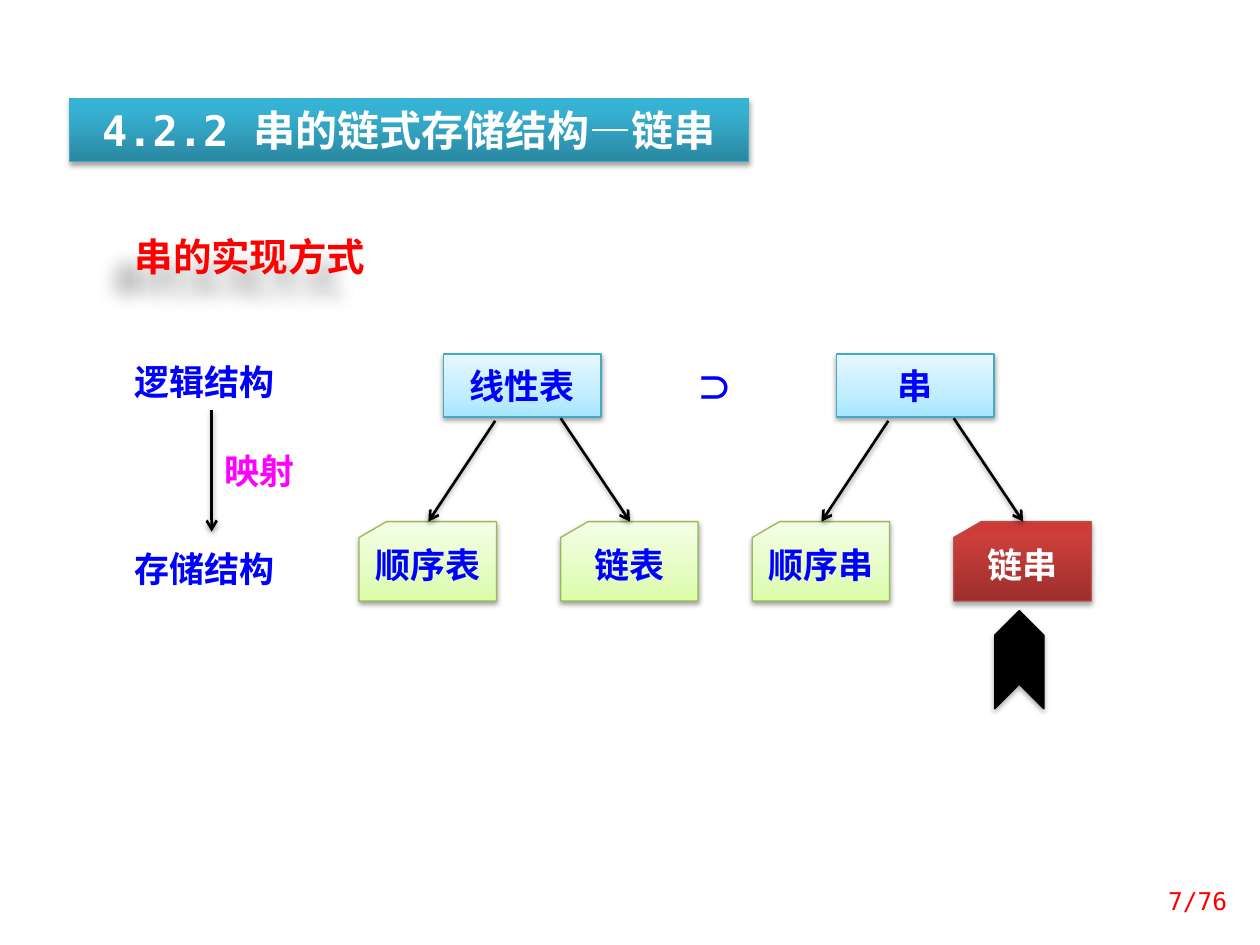
from lxml import etree
from pptx import Presentation
from pptx.dml.color import RGBColor
from pptx.enum.shapes import MSO_CONNECTOR, MSO_SHAPE
from pptx.enum.text import MSO_ANCHOR, MSO_AUTO_SIZE, PP_ALIGN
from pptx.oxml.ns import qn
from pptx.util import Inches, Pt

RECT, CARD, CHEVRON = MSO_SHAPE.RECTANGLE, MSO_SHAPE.FLOWCHART_CARD, MSO_SHAPE.CHEVRON
STRAIGHT = MSO_CONNECTOR.STRAIGHT
TOP, MIDDLE = MSO_ANCHOR.TOP, MSO_ANCHOR.MIDDLE
LEFT, CENTER, RIGHT = PP_ALIGN.LEFT, PP_ALIGN.CENTER, PP_ALIGN.RIGHT
FIXED_SIZE = MSO_AUTO_SIZE.NONE
MONO, SANS = "DejaVu Sans Mono", "Noto Sans CJK SC"
BLACK, WHITE, BLUE, RED, MAGENTA = "000000", "FFFFFF", "0000FF", "FF0000", "FF00FF"

SKY = ([(0, "A7E6FF"), (35, "C1EDFF"), (100, "E7F8FF")], "46AAC5")
LIME = ([(0, "DAFDA7"), (35, "E4FCC2"), (100, "F5FFE7")], "98B955")
BRICK = ([(0, "9C2F2D"), (80, "CB3E3A"), (100, "CE3B37")], "BF4C48")
TEAL = ([(0, "2A88A2"), (80, "37B1D2"), (100, "34B4D6")], "46AAC5")
SOFT = (38, 3.1, 1.6, 90)
STRONG = (35, 3.1, 1.8, 90)
CAST = (30, 10, 19, 137)


def rgb(value):
    return RGBColor.from_string(value)


class Deck:
    def __init__(self, s):
        self.s = s

    def shadow(self, sp, alpha, blur, dist, angle):
        spPr = sp._element.spPr
        for old in spPr.findall(qn("a:effectLst")):
            spPr.remove(old)
        effects = etree.SubElement(spPr, qn("a:effectLst"))
        outer = etree.SubElement(effects, qn("a:outerShdw"), blurRad=str(Pt(blur)),
                                 dist=str(Pt(dist)), dir=str(angle * 60000), rotWithShape="0")
        clr = etree.SubElement(outer, qn("a:srgbClr"), val=BLACK)
        etree.SubElement(clr, qn("a:alpha"), val=str(alpha * 1000))

    def paint(self, sp, style, shadow):
        stops, line = style
        sp.fill.gradient()
        sp.fill.gradient_angle = 90
        gs_list = sp._element.spPr.find(qn("a:gradFill")).find(qn("a:gsLst"))
        for gs in list(gs_list):
            gs_list.remove(gs)
        for pos, color in stops:
            gs = etree.SubElement(gs_list, qn("a:gs"), pos=str(pos * 1000))
            etree.SubElement(gs, qn("a:srgbClr"), val=color)
        sp.line.color.rgb = rgb(line)
        sp.line.width = Pt(0.75)
        self.shadow(sp, *shadow)

    def set_text(self, sp, text, size=20, color=BLUE, font=SANS, bold=True, align=LEFT,
                 anchor=TOP, top=0.05, bottom=0.05, leading=None):
        tf = sp.text_frame
        tf.word_wrap = True
        tf.auto_size = FIXED_SIZE
        tf.vertical_anchor = anchor
        tf.margin_left = tf.margin_right = Inches(0.1)
        tf.margin_top, tf.margin_bottom = Inches(top), Inches(bottom)
        p = tf.paragraphs[0]
        p.alignment = align
        if leading:
            p.line_spacing = Pt(leading)
        r = p.add_run()
        r.text = text
        r.font.name, r.font.size, r.font.bold = font, Pt(size), bold
        r.font.color.rgb = rgb(color)
        latin = r._r.rPr.find(qn("a:latin"))
        latin.addnext(etree.Element(qn("a:ea"), typeface=SANS))

    def title(self, box, text):
        sp = self.s.shapes.title
        sp.left, sp.top, sp.width, sp.height = map(Inches, box)
        self.paint(sp, TEAL, STRONG)
        self.set_text(sp, text, 24, WHITE, MONO, align=CENTER)

    def label(self, box, text, rotation=0, **style):
        sp = self.s.shapes.add_textbox(*map(Inches, box))
        sp.rotation = rotation
        self.set_text(sp, text, **style)
        return sp

    def node(self, kind, box, text, style, shadow=SOFT, **text_style):
        sp = self.s.shapes.add_shape(kind, *map(Inches, box))
        self.paint(sp, style, shadow)
        self.set_text(sp, text, align=CENTER, **text_style)

    def card(self, left, text, style=LIME, shadow=SOFT, color=BLUE):
        self.node(CARD, (left, 4.14, 1.09, 0.63), text, style, shadow,
                  color=color, anchor=MIDDLE, bottom=0.12)

    def arrow(self, x1, y1, x2, y2):
        line = self.s.shapes.add_connector(STRAIGHT, *map(Inches, (x1, y1, x2, y2)))
        line.line.color.rgb = rgb(BLACK)
        line.line.width = Pt(1.5)
        etree.SubElement(line._element.spPr.find(qn("a:ln")), qn("a:tailEnd"), type="arrow")
        self.shadow(line, *SOFT)

    def pointer(self, box):
        sp = self.s.shapes.add_shape(CHEVRON, *map(Inches, box))
        sp.rotation = 270
        sp.fill.solid()
        sp.fill.fore_color.rgb = rgb(BLACK)
        sp.line.color.rgb = rgb(BLACK)
        sp.line.width = Pt(0.75)
        self.shadow(sp, *STRONG)

    def tree(self, left, root, sequential, linked, **linked_style):
        self.node(RECT, (left + 0.67, 2.81, 1.25, 0.5), root, SKY, top=0.08, bottom=0.08)
        self.card(left, sequential)
        self.card(left + 1.6, linked, **linked_style)
        self.arrow(left + 1.08, 3.34, left + 0.55, 4.14)
        self.arrow(left + 1.6, 3.32, left + 2.15, 4.14)


def main():
    prs = Presentation()
    prs.slide_width, prs.slide_height = Inches(10), Inches(7.5)
    deck = Deck(prs.slides.add_slide(prs.slide_layouts[5]))

    deck.title((0.55, 0.78, 5.39, 0.5), "4.2.2 串的链式存储结构—链串")
    heading = deck.label((0.97, 1.8, 2.19, 0.47), "串的实现方式", size=22, color=RED, font=MONO)
    deck.shadow(heading, *CAST)

    deck.label((0.97, 2.81, 1.41, 0.44), "逻辑结构")
    deck.label((0.97, 4.3, 1.41, 0.44), "存储结构")
    deck.arrow(1.68, 3.25, 1.68, 4.22)
    deck.label((1.68, 3.52, 0.86, 0.44), "映射", color=MAGENTA)

    deck.tree(2.85, "线性表", "顺序表", "链表")
    deck.label((5.48, 2.82, 0.47, 0.52), "∩", rotation=90, leading=30)
    deck.tree(5.97, "串", "顺序串", "链串", style=BRICK, shadow=STRONG, color=WHITE)
    deck.pointer((7.7, 5.04, 0.78, 0.39))

    deck.label((8.78, 6.95, 1.06, 0.4), "7/76", size=14, color=RED, font=MONO,
               bold=False, align=RIGHT, anchor=MIDDLE)
    prs.save("out.pptx")


if __name__ == "__main__":
    main()
